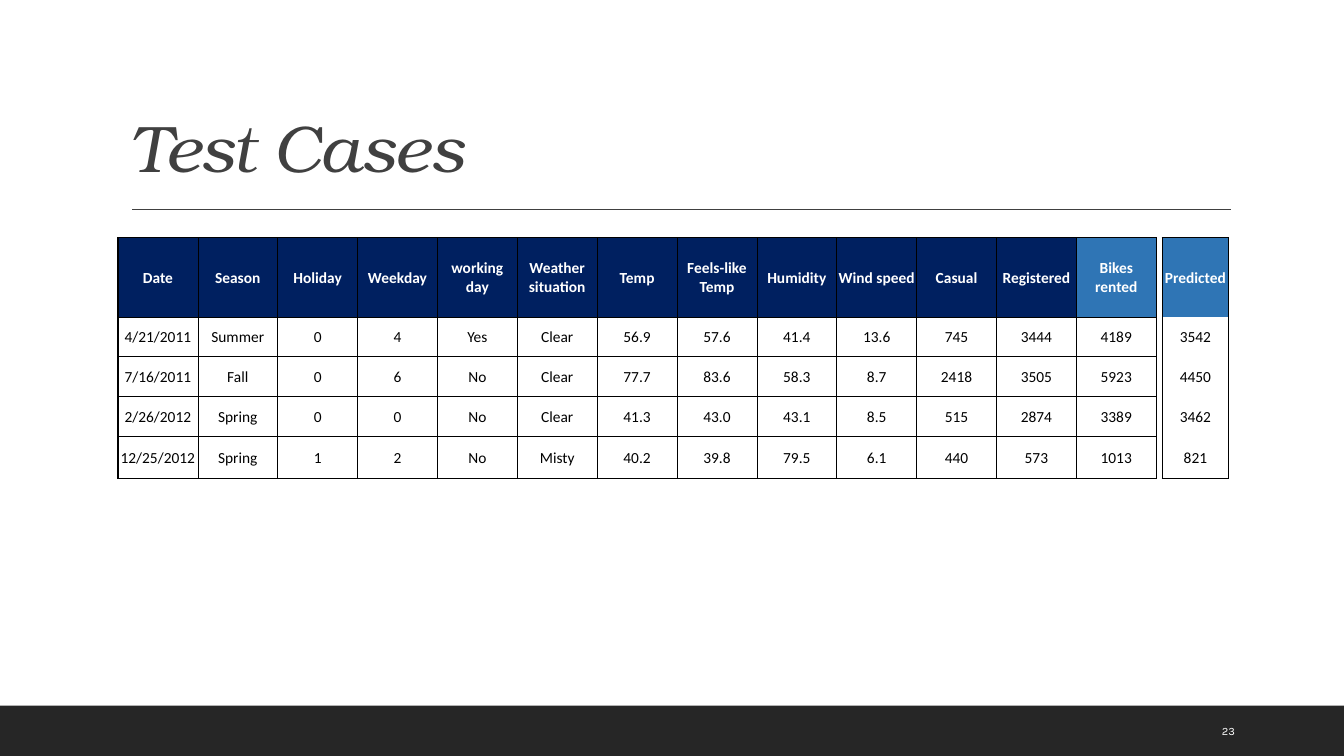
"""Build the Test Cases slide with its table of bike rentals."""
from pptx import Presentation
from pptx.dml.color import RGBColor
from pptx.enum.shapes import MSO_CONNECTOR, MSO_SHAPE
from pptx.enum.text import MSO_ANCHOR as Anchor, PP_ALIGN as Align
from pptx.oxml.ns import qn
from pptx.util import Inches, Pt
from lxml.etree import SubElement

WHITE = RGBColor(0xFF, 0xFF, 0xFF)
BLACK = RGBColor(0, 0, 0)
GRAY = RGBColor(0x40, 0x40, 0x40)
DARK = RGBColor(0x26, 0x26, 0x26)
NAVY = RGBColor(0x00, 0x20, 0x60)
BLUE = RGBColor(0x2F, 0x75, 0xB5)

HEADS = ["Date", "Season", "Holiday", "Weekday", "working day",
         "Weather situation", "Temp", "Feels-like Temp", "Humidity",
         "Wind speed", "Casual", "Registered", "Bikes rented", "", "Predicted"]
CASES = [
    ["4/21/2011", "Summer", "0", "4", "Yes", "Clear", "56.9", "57.6",
     "41.4", "13.6", "745", "3444", "4189", "", "3542"],
    ["7/16/2011", "Fall", "0", "6", "No", "Clear", "77.7", "83.6",
     "58.3", "8.7", "2418", "3505", "5923", "", "4450"],
    ["2/26/2012", "Spring", "0", "0", "No", "Clear", "41.3", "43.0",
     "43.1", "8.5", "515", "2874", "3389", "", "3462"],
    ["12/25/2012", "Spring", "1", "2", "No", "Misty", "40.2", "39.8",
     "79.5", "6.1", "440", "573", "1013", "", "821"],
]
ROWS = [HEADS] + CASES
HIGHS = [0.79, 0.39, 0.39, 0.4, 0.42]
GAP = HEADS.index("")
LAST = len(ROWS) - 1
GAP_W, PRED_W = 0.05, 0.66


def style(para, face, size, color):
    """Format the runs of a paragraph."""
    for run in para.runs:
        font = run.font
        font.name, font.size, font.color.rgb = face, Pt(size), color


def add_text(slide, box, text, anchor):
    """Add a wrapped text box and return its paragraph."""
    frame = slide.shapes.add_textbox(*map(Inches, box)).text_frame
    frame.word_wrap = True
    frame.vertical_anchor = anchor
    frame.text = text
    return frame.paragraphs[0]


def add_title(slide, left, top, width, height):
    """Place the title and the rule below it."""
    para = add_text(slide, (left, top, width, height), "Test Cases",
                    Anchor.BOTTOM)
    para.line_spacing = 0.9
    style(para, "TeX Gyre Bonum", 47, GRAY)
    run = para.runs[0]
    run.font.italic = True
    run.font._element.set("spc", "-50")
    y = Inches(top + height + 0.18)
    rule = slide.shapes.add_connector(
        MSO_CONNECTOR.STRAIGHT, Inches(left + 0.11), y,
        Inches(left + width + 0.01), y)
    rule.line.color.rgb = GRAY
    rule.line.width = Pt(1)
    SubElement(rule._element.spPr, qn("a:effectLst"))


def add_footer(slide, left, top, width, height):
    """Place the dark band and the slide number."""
    band = slide.shapes.add_shape(
        MSO_SHAPE.RECTANGLE, *map(Inches, (left, top, width, height)))
    band.shadow.inherit = False
    band.fill.solid()
    band.fill.fore_color.rgb = DARK
    band.line.fill.background()
    para = add_text(slide, (left + width - 1.31, top + 0.05, 0.85, 0.4),
                    "23", Anchor.MIDDLE)
    style(para, "Karla", 8, WHITE)


def edges(row, col):
    """Return the left, right, top and bottom line widths of a cell."""
    if col >= GAP:
        pred = col > GAP
        return 1, 1, int(pred and row == 0), int(pred and row == LAST)
    return (1 if col == 0 else 0.5, 1 if col == GAP - 1 else 0.5,
            1 if row < 2 else 0.5, 1 if row in (0, LAST) else 0.5)


def set_edges(cell, widths):
    """Draw the four borders of a cell, leaving out those of width zero."""
    props = cell._tc.get_or_add_tcPr()
    for side, width in zip("LRTB", widths):
        line = SubElement(props, qn(f"a:ln{side}"), w=str(Pt(width)))
        if width:
            fill = SubElement(line, qn("a:solidFill"))
            SubElement(fill, qn("a:srgbClr"), val=str(BLACK))
        else:
            SubElement(line, qn("a:noFill"))


def fill_cell(cell, text, row, col):
    """Write and format one table cell."""
    cell.margin_left = cell.margin_right = cell.margin_top = Inches(0.01)
    cell.margin_bottom = 0
    cell.vertical_anchor = Anchor.MIDDLE
    set_edges(cell, edges(row, col))
    head = row == 0 and col != GAP
    if head:
        cell.fill.solid()
        cell.fill.fore_color.rgb = NAVY if col < GAP - 1 else BLUE
    else:
        cell.fill.background()
    if text:
        cell.text_frame.text = text
        para = cell.text_frame.paragraphs[0]
        para.alignment = Align.CENTER
        style(para, "Calibri", 11, WHITE if head else BLACK)
        para.runs[0].font.bold = head


def add_cases(slide, left, top, width, height):
    """Place the table of test cases and predictions."""
    table = slide.shapes.add_table(
        len(ROWS), len(HEADS),
        *map(Inches, (left, top, width, height))).table
    table.first_row = table.horz_banding = False
    wide = (width - GAP_W - PRED_W) / GAP
    for column, size in zip(table.columns, [wide] * GAP + [GAP_W, PRED_W]):
        column.width = Inches(size)
    for line, size in zip(table.rows, HIGHS):
        line.height = Inches(size)
    for row, texts in enumerate(ROWS):
        for col, text in enumerate(texts):
            fill_cell(table.cell(row, col), text, row, col)


def main():
    """Build and save the deck."""
    deck = Presentation()
    deck.slide_width, deck.slide_height = Inches(13.33), Inches(7.5)
    slide = deck.slides.add_slide(deck.slide_layouts[6])
    add_footer(slide, 0, 7, 13.33, 0.5)
    add_title(slide, 1.2, 0.31, 11, 1.59)
    add_cases(slide, 1.17, 2.36, 11.01, sum(HIGHS))
    deck.save("out.pptx")


if __name__ == "__main__":
    main()
